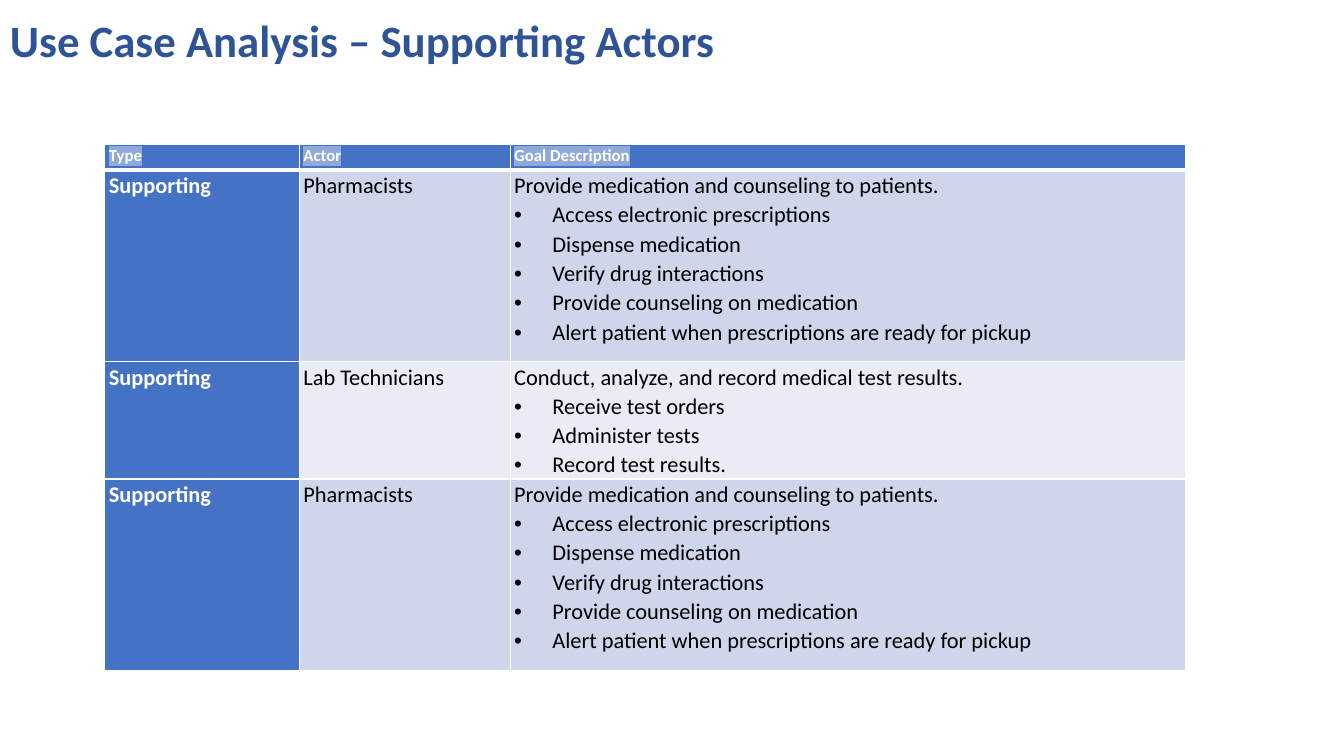
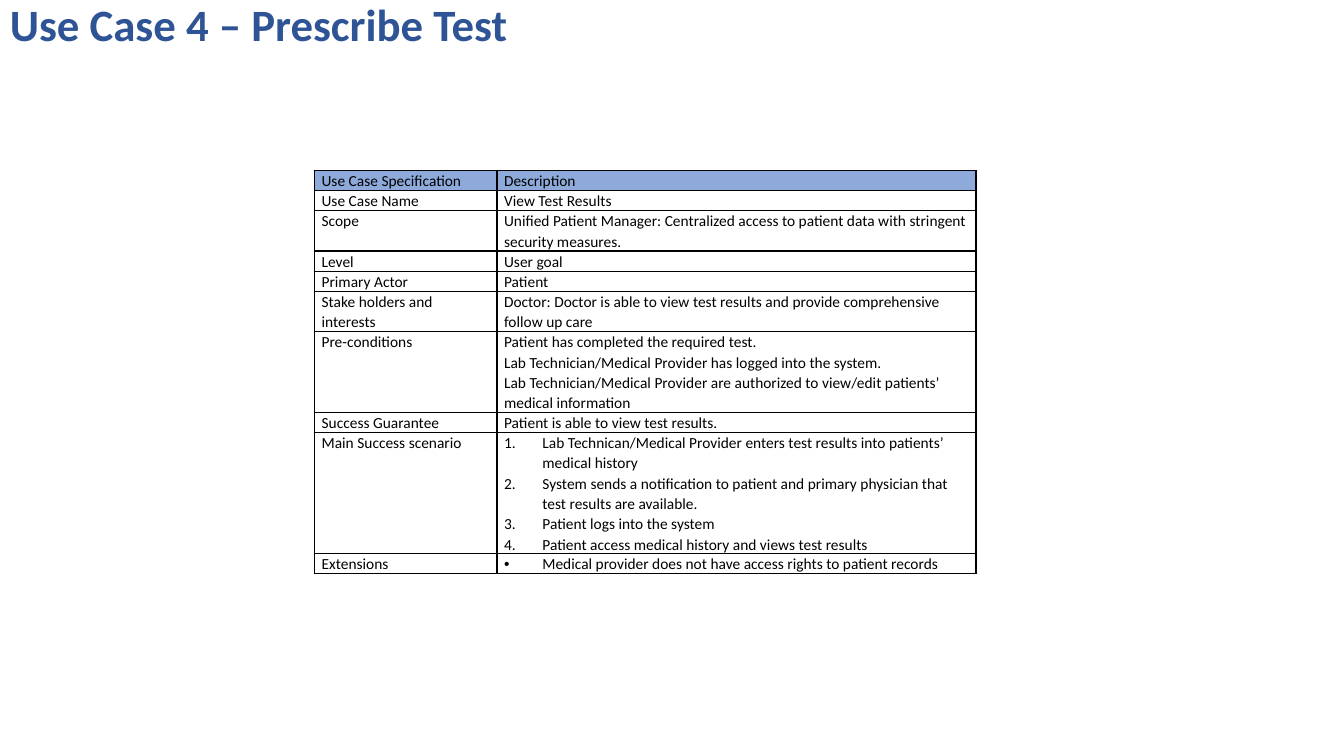
from dataclasses import dataclass

from lxml import etree
from pptx import Presentation
from pptx.dml.color import RGBColor
from pptx.enum.text import MSO_ANCHOR
from pptx.oxml.ns import qn
from pptx.util import Inches, Pt

MIDDLE = MSO_ANCHOR.MIDDLE
BULLET, NUMBER = "bullet", "number"


@dataclass(frozen=True)
class Theme:
    font: str = "Calibri"
    title: str = "2F5496"
    accent: str = "4472C4"
    highlight: str = "8EAADB"
    band_dark: str = "CFD5EA"
    band_light: str = "E9EBF5"
    white: str = "FFFFFF"
    black: str = "000000"
    title_size: int = 32
    actor_size: int = 16
    header_size: int = 12
    specification_size: int = 11
    line_spacing: float = 1.07
    list_indent: float = 0.38


THEME = Theme()


def add_title(slide, text, width, height, line_spacing):
    shape = slide.shapes.add_textbox(0, 0, Inches(width), Inches(height))
    text_frame = shape.text_frame
    text_frame.word_wrap = True
    text_frame.vertical_anchor = MIDDLE
    text_frame.text = text
    paragraph = text_frame.paragraphs[0]
    paragraph.line_spacing = line_spacing
    font = paragraph.runs[0].font
    font.name, font.size, font.bold = THEME.font, Pt(THEME.title_size), True
    font.color.rgb = RGBColor.from_string(THEME.title)


def fill_cell(cell, content, fill, color, size, bold, inset, borders, highlight=None):
    """Write a string, or a list of (list kind, text) pairs, into a styled cell.

    borders maps a side (L, R, T, B) to a colour and a width in points.
    """
    cell.margin_left = cell.margin_right = Inches(inset)
    cell.margin_top = cell.margin_bottom = 0
    properties = cell._tc.get_or_add_tcPr()
    for side, (border_color, points) in borders.items():
        line = etree.SubElement(properties, qn(f"a:ln{side}"), w=str(Pt(points)))
        line_fill = etree.SubElement(line, qn("a:solidFill"))
        etree.SubElement(line_fill, qn("a:srgbClr"), val=border_color)
    if fill:
        cell.fill.solid()
        cell.fill.fore_color.rgb = RGBColor.from_string(fill)
    else:
        cell.fill.background()

    items = [(None, content)] if isinstance(content, str) else content
    cell.text_frame.text = "\n".join(text for _, text in items)
    for paragraph, (kind, _) in zip(cell.text_frame.paragraphs, items):
        if kind:
            paragraph_properties = paragraph._p.get_or_add_pPr()
            indent = Inches(THEME.list_indent)
            paragraph_properties.set("marL", str(indent))
            paragraph_properties.set("indent", str(-indent))
            if kind == BULLET:
                etree.SubElement(paragraph_properties, qn("a:buFont"), typeface="Arial")
                etree.SubElement(paragraph_properties, qn("a:buChar"), char="•")
            else:
                etree.SubElement(paragraph_properties, qn("a:buAutoNum"), type="arabicPeriod")
        paragraph.line_spacing = THEME.line_spacing
        for run in paragraph.runs:
            font = run.font
            font.name, font.size, font.bold = THEME.font, Pt(size), bold
            font.color.rgb = RGBColor.from_string(color)
            if highlight:
                marker = etree.Element(qn("a:highlight"))
                etree.SubElement(marker, qn("a:srgbClr"), val=highlight)
                run._r.rPr.find(qn("a:solidFill")).addnext(marker)


presentation = Presentation()
presentation.slide_width = Inches(13.33)
presentation.slide_height = Inches(7.5)
blank_layout = presentation.slide_layouts[6]

# Supporting actors
pharmacists = ("Supporting", "Pharmacists", [
    (None, "Provide medication and counseling to patients."),
    (BULLET, "Access electronic prescriptions"),
    (BULLET, "Dispense medication"),
    (BULLET, "Verify drug interactions"),
    (BULLET, "Provide counseling on medication"),
    (BULLET, "Alert patient when prescriptions are ready for pickup"),
])
lab_technicians = ("Supporting", "Lab Technicians", [
    (None, "Conduct, analyze, and record medical test results."),
    (BULLET, "Receive test orders"),
    (BULLET, "Administer tests"),
    (BULLET, "Record test results."),
])
actor_rows = [("Type", "Actor", "Goal Description"), pharmacists, lab_technicians, pharmacists]
actor_widths = [1.93, 2.09, 6.7]
actor_heights = [0.26, 1.9, 1.13, 1.9]

slide = presentation.slides.add_slide(blank_layout)
actor_table = slide.shapes.add_table(
    len(actor_rows), len(actor_widths), Inches(1.04), Inches(1.43),
    Inches(sum(actor_widths)), Inches(sum(actor_heights))).table
actor_table.horz_banding = False
for column, width in zip(actor_table.columns, actor_widths):
    column.width = Inches(width)
for row_index, (row, height) in enumerate(zip(actor_rows, actor_heights)):
    actor_table.rows[row_index].height = Inches(height)
    is_header = row_index == 0
    borders = {side: (THEME.white, 1) for side in "LRTB"}
    if is_header:
        borders["B"] = (THEME.white, 3)
    elif row_index == 1:
        borders["T"] = (THEME.white, 3)
    band = THEME.band_dark if row_index % 2 else THEME.band_light
    for column_index, content in enumerate(row):
        emphasized = is_header or column_index == 0
        fill_cell(
            actor_table.cell(row_index, column_index), content,
            fill=THEME.accent if emphasized else band,
            color=THEME.white if emphasized else THEME.black,
            size=THEME.header_size if is_header else THEME.actor_size,
            bold=emphasized, inset=0.04, borders=borders,
            highlight=THEME.highlight if is_header else None)
add_title(slide, "Use Case Analysis – Supporting Actors", 10.45, 0.85, 0.9)

# Use case specification: label, description, number of text lines
specification_rows = [
    ("Use Case Specification", "Description", 1),
    ("Use Case Name", "View Test Results", 1),
    ("Scope", "Unified Patient Manager: Centralized access to patient data with "
              "stringent security measures.", 2),
    ("Level", "User goal", 1),
    ("Primary Actor", "Patient", 1),
    ("Stake holders and interests",
     "Doctor: Doctor is able to view test results and provide comprehensive follow up care", 2),
    ("Pre-conditions", [
        (None, "Patient has completed the required test."),
        (None, "Lab Technician/Medical Provider has logged into the system."),
        (None, "Lab Technician/Medical Provider are authorized to view/edit patients’ "
               "medical information"),
    ], 4),
    ("Success Guarantee", "Patient is able to view test results.", 1),
    ("Main Success scenario", [
        (NUMBER, "Lab Technican/Medical Provider enters test results into patients’ "
                 "medical history"),
        (NUMBER, "System sends a notification to patient and primary physician that "
                 "test results are available."),
        (NUMBER, "Patient logs into the system"),
        (NUMBER, "Patient access medical history and views test results"),
    ], 6),
    ("Extensions", [
        (BULLET, "Medical provider does not have access rights to patient records"),
    ], 1),
]
specification_widths = [1.81, 4.75]
line_height = 0.2

slide = presentation.slides.add_slide(blank_layout)
add_title(slide, "Use Case 4 – Prescribe Test", 10.4, 0.57, 0.8)
specification_table = slide.shapes.add_table(
    len(specification_rows), len(specification_widths), Inches(3.12), Inches(1.69),
    Inches(sum(specification_widths)),
    Inches(line_height * sum(row[-1] for row in specification_rows))).table
specification_table.first_row = False
specification_table.horz_banding = False
for column, width in zip(specification_table.columns, specification_widths):
    column.width = Inches(width)
for row_index, (label, description, line_count) in enumerate(specification_rows):
    specification_table.rows[row_index].height = Inches(line_height * line_count)
    header_color = THEME.highlight if row_index == 0 else None
    for column_index, content in enumerate((label, description)):
        fill_cell(
            specification_table.cell(row_index, column_index), content,
            fill=header_color, color=THEME.black, size=THEME.specification_size,
            bold=False, inset=0.07, borders={side: (THEME.black, 1) for side in "LRTB"},
            highlight=header_color)

presentation.save("out.pptx")
